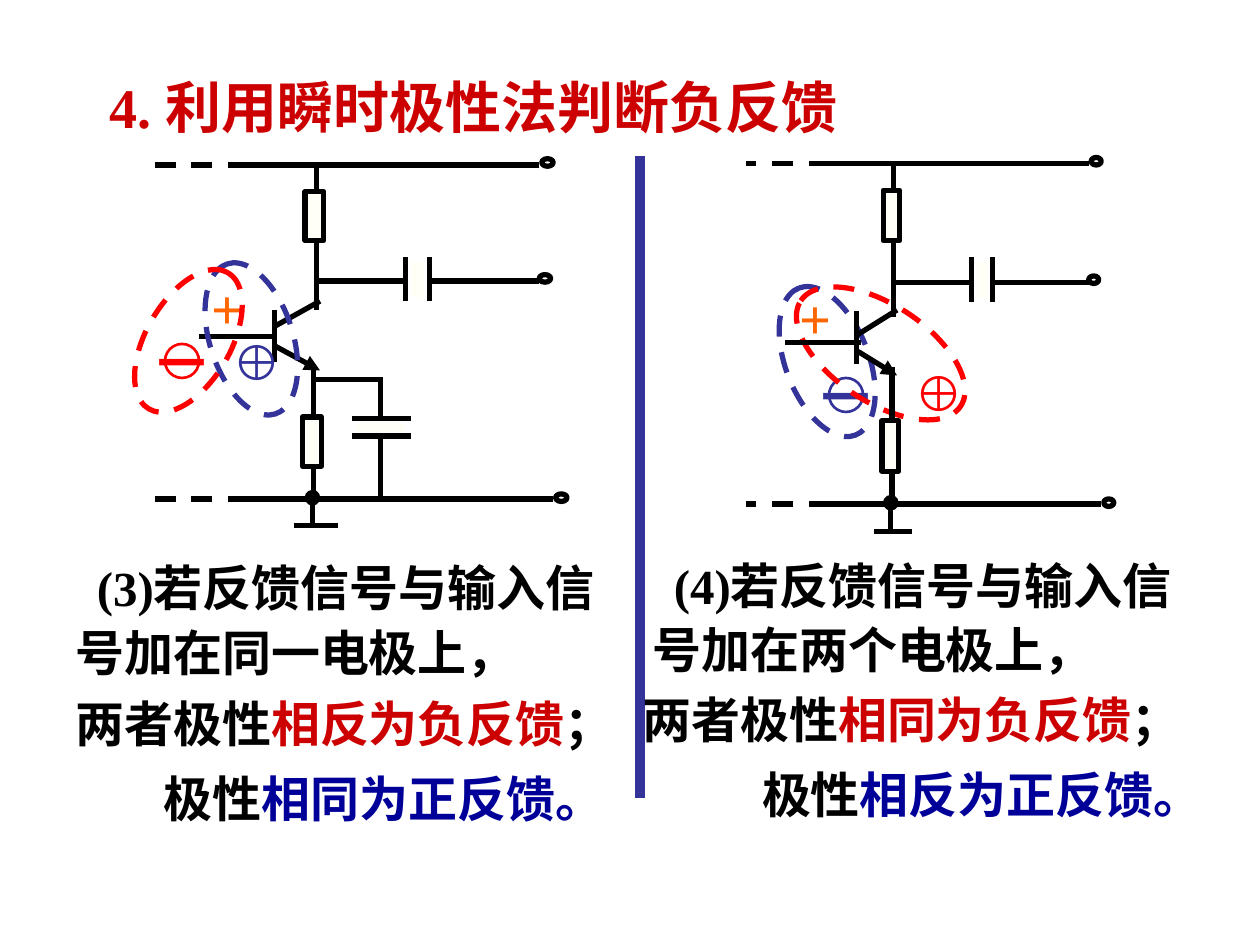
from lxml import etree
from pptx import Presentation
from pptx.dml.color import RGBColor
from pptx.enum.dml import MSO_LINE
from pptx.enum.shapes import MSO_CONNECTOR, MSO_SHAPE
from pptx.enum.text import MSO_ANCHOR, PP_ALIGN
from pptx.oxml.ns import qn
from pptx.util import Pt

PX = 9144  # 100 px to the inch
STRAIGHT = MSO_CONNECTOR.STRAIGHT
RECT, OVAL = MSO_SHAPE.RECTANGLE, MSO_SHAPE.OVAL
DASH = MSO_LINE.DASH
MIDDLE, CENTER = MSO_ANCHOR.MIDDLE, PP_ALIGN.CENTER
SERIF, SANS, CJK = "Times New Roman", "Arial", "Noto Sans CJK SC"
COLORS = {
    "black": "000000", "white": "FFFFFF", "cream": "FFFFF7",
    "title": "CC0000", "navy": "000099", "indigo": "333399",
    "red": "FF0000", "orange": "FF6600",
}


def px(value):
    return round(value * PX)


def rgb(name):
    return RGBColor.from_string(COLORS[name])


def add_line(shapes, start, end, color="black", width=3, dash=None,
             head=None, tail=None):
    wire = shapes.add_connector(STRAIGHT, *map(px, start + end))
    wire.line.color.rgb = rgb(color)
    wire.line.width = Pt(width)
    if dash:
        wire.line.dash_style = dash
    outline = wire.line._get_or_add_ln()
    for tag, kind in (("a:headEnd", head), ("a:tailEnd", tail)):
        if kind:
            etree.SubElement(outline, qn(tag)).set("type", kind)
    etree.SubElement(wire._element.spPr, qn("a:effectLst"))


def add_outline(shapes, kind, box, line="black", width=3, fill=None,
                dash=None, rotation=0):
    figure = shapes.add_shape(kind, *map(px, box))
    figure.shadow.inherit = False
    figure.rotation = rotation
    if fill:
        figure.fill.solid()
        figure.fill.fore_color.rgb = rgb(fill)
    else:
        figure.fill.background()
    figure.line.color.rgb = rgb(line)
    figure.line.width = Pt(width)
    if dash:
        figure.line.dash_style = dash
    return figure


def write_runs(paragraph, pieces, size):
    """Each piece is (text, latin font, colour)."""
    for text, font, color in pieces:
        run = paragraph.add_run()
        run.text = text
        run.font.size = Pt(size)
        run.font.bold = True
        run.font.name = font
        run.font.color.rgb = rgb(color)
        east_asian = etree.SubElement(run.font._element, qn("a:ea"))
        east_asian.set("typeface", CJK)


def add_text(shapes, box, pieces, size, indent=0, spacing=None, wrap=True):
    frame = shapes.add_textbox(*map(px, box)).text_frame
    frame.word_wrap = wrap
    paragraph = frame.paragraphs[0]
    if indent:
        paragraph._p.get_or_add_pPr().set("indent", str(px(indent)))
    if spacing:
        paragraph.line_spacing = spacing
    write_runs(paragraph, pieces, size)


def add_minus_mark(shapes, left, top, color):
    mark = add_outline(shapes, OVAL, (left, top, 27, 27), color, 1.5)
    frame = mark.text_frame
    frame.word_wrap = False
    frame.vertical_anchor = MIDDLE
    frame.paragraphs[0].alignment = CENTER
    write_runs(frame.paragraphs[0], [("－", SERIF, color)], 36)


def add_plus_mark(shapes, left, top, color):
    add_text(shapes, (left, top, 51, 57), [("⊕", SANS, color)], 28, wrap=False)


def add_circuit(slide, origin, scale, base, joins, ends, bypass=False):
    """Amplifier stage, laid out from the left end of its supply rail.

    base: y and both x of the base lead; joins: y of collector and emitter
    on the base bar; ends: y of their outer ends and of the collector wire.
    """
    shapes = slide.shapes.add_group_shape().shapes

    def at(x, y):
        return (round(origin[0] + x * scale[0]), round(origin[1] + y * scale[1]))

    def wire(x1, y1, x2, y2, **style):
        add_line(shapes, at(x1, y1), at(x2, y2), **style)

    def block(x, y, width, height, kind=RECT, line="black", fill="cream"):
        size = (round(width * scale[0]), round(height * scale[1]))
        add_outline(shapes, kind, at(x, y) + size, line, fill=fill)

    # Transistor
    base_y, base_start, base_end = base
    bar_x, collector_x = at(101, 0)[0], at(137, 0)[0]
    wire(101, 115, 101, 156)
    add_line(shapes, (bar_x, joins[0]), (collector_x, ends[0]))
    add_line(shapes, (bar_x + 1, joins[1]), (collector_x, ends[1]),
             tail="triangle")
    add_line(shapes, (base_start, base_y), (base_end, base_y))
    # Emitter, collector and output wires
    wire(132, 158, 132, 269)
    add_line(shapes, (at(134, 0)[0], ends[2]), at(134, 0))
    wire(132, 92, 311, 92)
    # Terminals
    for x, y in ((313, -5), (311, 87), (324, 261)):
        block(x, y, 9, 6, OVAL, fill=None)
    # Resistors
    for x, y in ((125, 21), (123, 200)):
        block(x, y, 15, 39)
    # Coupling capacitor
    block(207, 75, 15, 32, line="white")
    for x in (205, 224):
        wire(x, 73, x, 108)
    # Emitter bypass capacitor
    if bypass:
        block(164, 203, 43, 11, line="white")
        for y in (201, 215):
            wire(162, y, 209, y)
        wire(132, 170, 187, 170)
        wire(185, 170, 185, 202)
        wire(185, 215, 185, 265)
    # Supply and ground rails
    for y, right in ((0, 311), (265, 322)):
        wire(right, y, 64, y)
        wire(110, y, 0, y, dash=DASH)
    # Ground
    wire(131, 264, 131, 288, head="oval")
    wire(116, 286, 151, 286)


def add_rule(shapes, number, electrodes, negative, positive, boxes):
    """Three text lines: condition, negative case, positive case."""
    lines = (
        ([(f"({number})", SERIF, "black"),
          (f"若反馈信号与输入信号加在{electrodes}电极上，", CJK, "black")], 17),
        ([("两者极性", CJK, "black"), (f"{negative}为负反馈", SERIF, "title"),
          ("；", SERIF, "black")], 0 if number == 3 else 17),
        ([("极性", SERIF, "black"), (f"{positive}为正反馈。", SERIF, "navy")], 70),
    )
    for box, (pieces, indent) in zip(boxes, lines):
        add_text(shapes, box, pieces, 28, indent, spacing=1.1)


def main():
    deck = Presentation()
    deck.slide_width, deck.slide_height = px(1000), px(750)
    slide = deck.slides.add_slide(deck.slide_layouts[6])
    shapes = slide.shapes

    # Left circuit, title and divider
    add_circuit(slide, (117, 131), (1, 1), (267, 158, 220), (259, 275),
                (239, 294, 246), bypass=True)
    add_text(shapes, (33, 53, 794, 64),
             [("4. ", SERIF, "title"), ("利用瞬时极性法判断负反馈", CJK, "title")],
             32, indent=44)
    for left, top in ((158, 212), (625, 220)):
        add_text(shapes, (left, top, 58, 64), [("+", SERIF, "orange")], 32)
    add_line(shapes, (508, 124), (508, 633), "indigo", 6)

    # Polarity marks and the loops around them
    add_minus_mark(shapes, 131, 273, "red")
    add_plus_mark(shapes, 175, 258, "indigo")
    add_minus_mark(shapes, 658, 300, "indigo")
    add_plus_mark(shapes, 716, 283, "red")
    for box, rotation, color in (
        ((137, 236, 125, 66), 72.3, "indigo"),
        ((87, 237, 125, 67), 120.1, "red"),
        ((594, 254, 125, 66), 69, "indigo"),
        ((623, 242, 152, 77), 33.4, "red"),
    ):
        add_outline(shapes, OVAL, box, color, dash=DASH, rotation=rotation)

    # Rules
    add_rule(shapes, 3, "同一", "相反", "相同",
             ((50, 433, 458, 113), (50, 541, 458, 62), (50, 600, 458, 62)))
    add_rule(shapes, 4, "两个", "相同", "相反",
             ((508, 431, 467, 113), (483, 538, 508, 62), (525, 597, 467, 62)))

    # Right circuit
    add_circuit(slide, (592, 130), (0.875, 1.02), (272, 623, 683), (266, 279),
                (246, 298, 252))
    deck.save("out.pptx")


if __name__ == "__main__":
    main()
